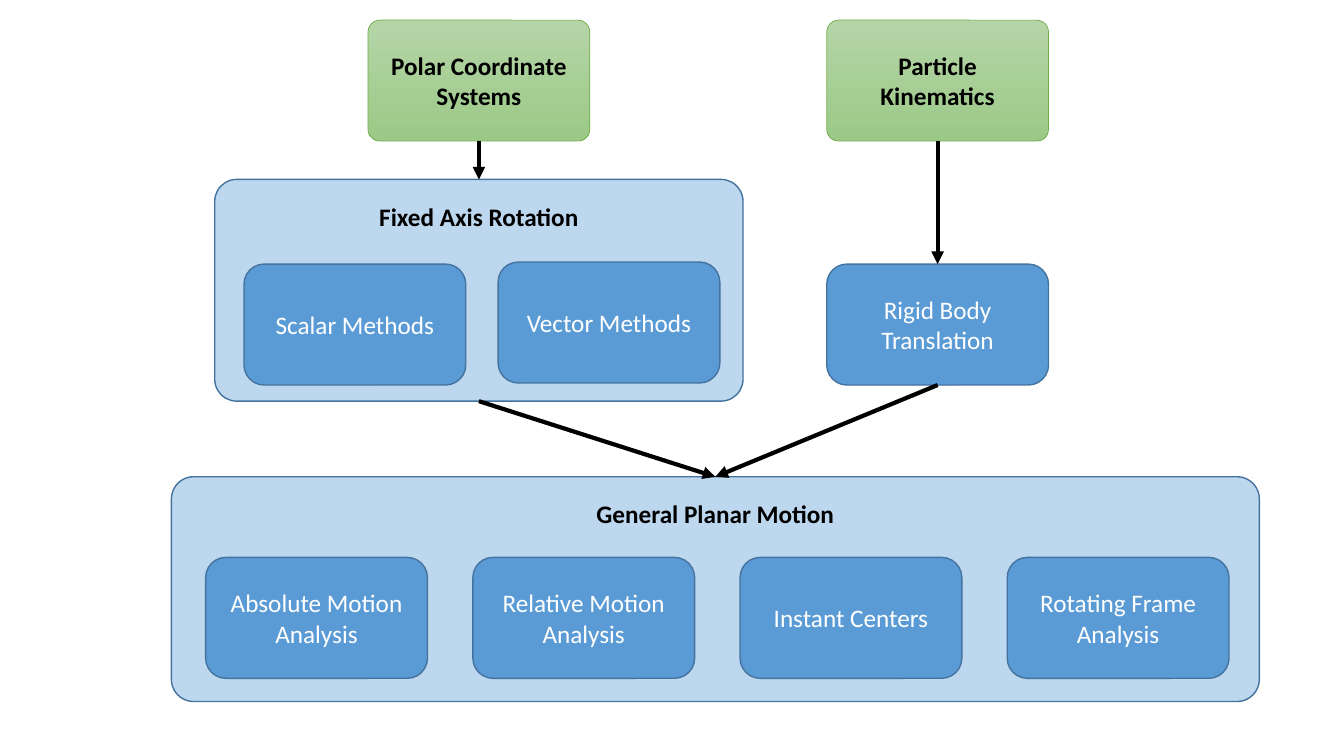
import pptx
import pptx.util
import pptx.dml.color
import pptx.enum.shapes
import pptx.enum.text
import pptx.oxml.ns
import lxml.etree

Inches = pptx.util.Inches
Pt = pptx.util.Pt
TOP, BOTTOM = 0, 2  # connection sites of a rounded rectangle

COLORS = {
    "text": "000000",
    "light_text": "FFFFFF",
    "panel": "BDD7EE",
    "topic": "5B9BD5",
    "blue_line": "43739E",
    "green_top": "B5D5A7",
    "green_bottom": "9CC987",
    "green_line": "70AD47",
}


def rgb(name):
    return pptx.dml.color.RGBColor.from_string(COLORS[name])


class Diagram:
    font = "Calibri"
    size = 18
    box_width, box_height = 2.2, 1.2
    soft_corner = 0.099

    def __init__(self, slide):
        self.slide = slide

    def box(self, text, x, y, w, h, line, line_width, color, bold=False):
        sp = self.slide.shapes.add_shape(
            pptx.enum.shapes.MSO_SHAPE.ROUNDED_RECTANGLE,
            Inches(x), Inches(y), Inches(w), Inches(h))
        sp.shadow.inherit = False
        sp.line.color.rgb = rgb(line)
        sp.line.width = Pt(line_width)
        tf = sp.text_frame
        tf.word_wrap = True
        tf.vertical_anchor = pptx.enum.text.MSO_ANCHOR.MIDDLE
        p = tf.paragraphs[0]
        p.text = text
        p.alignment = pptx.enum.text.PP_ALIGN.CENTER
        p.font.name = self.font
        p.font.size = Pt(self.size)
        p.font.bold = bold
        p.font.color.rgb = rgb(color)
        return sp

    def panel(self, text, x, y, w, h):
        sp = self.box(text, x, y, w, h, "blue_line", 1, "text", bold=True)
        sp.adjustments[0] = self.soft_corner
        sp.fill.solid()
        sp.fill.fore_color.rgb = rgb("panel")
        sp.text_frame.vertical_anchor = pptx.enum.text.MSO_ANCHOR.TOP
        sp.text_frame.margin_top = Inches(0.15)
        return sp

    def topic(self, text, x, y):
        sp = self.box(text, x, y, self.box_width, self.box_height,
                      "blue_line", 1, "light_text")
        sp.fill.solid()
        sp.fill.fore_color.rgb = rgb("topic")
        return sp

    def prerequisite(self, text, x, y):
        sp = self.box(text, x, y, self.box_width, self.box_height,
                      "green_line", 0.5, "text", bold=True)
        sp.adjustments[0] = self.soft_corner
        sp.fill.gradient()
        sp.fill.gradient_angle = 270
        for stop, name in zip(sp.fill.gradient_stops, ("green_top", "green_bottom")):
            stop.color.rgb = rgb(name)
        return sp

    def arrow(self, source, target):
        c = self.slide.shapes.add_connector(
            pptx.enum.shapes.MSO_CONNECTOR.STRAIGHT, 0, 0, 0, 0)
        c.begin_connect(source, BOTTOM)
        c.end_connect(target, TOP)
        c.line.color.rgb = rgb("text")
        c.line.width = Pt(3)
        qn = pptx.oxml.ns.qn
        sp_pr = c._element.spPr
        lxml.etree.SubElement(sp_pr.find(qn("a:ln")), qn("a:tailEnd"), type="triangle")
        lxml.etree.SubElement(sp_pr, qn("a:effectLst"))


def main():
    prs = pptx.Presentation()
    prs.slide_width = Inches(13.33)
    prs.slide_height = Inches(7.5)
    d = Diagram(prs.slides.add_slide(prs.slide_layouts[6]))

    # Prerequisites
    polar = d.prerequisite("Polar Coordinate Systems", 3.65, 0.2)
    particle = d.prerequisite("Particle Kinematics", 8.2, 0.2)

    # Fixed axis rotation and translation
    rotation = d.panel("Fixed Axis Rotation", 2.13, 1.78, 5.24, 2.2)
    d.topic("Scalar Methods", 2.42, 2.62)
    d.topic("Vector Methods", 4.94, 2.6)
    translation = d.topic("Rigid Body Translation", 8.2, 2.62)

    # General planar motion
    planar = d.panel("General Planar Motion", 1.7, 4.73, 10.79, 2.23)
    methods = ("Absolute Motion Analysis", "Relative Motion Analysis",
               "Instant Centers", "Rotating Frame Analysis")
    for i, method in enumerate(methods):
        d.topic(method, 2.04 + 2.65 * i, 5.53)

    # Arrows from each topic to the one it leads to
    for source, target in ((polar, rotation), (particle, translation),
                           (rotation, planar), (translation, planar)):
        d.arrow(source, target)

    prs.save("out.pptx")


if __name__ == "__main__":
    main()
